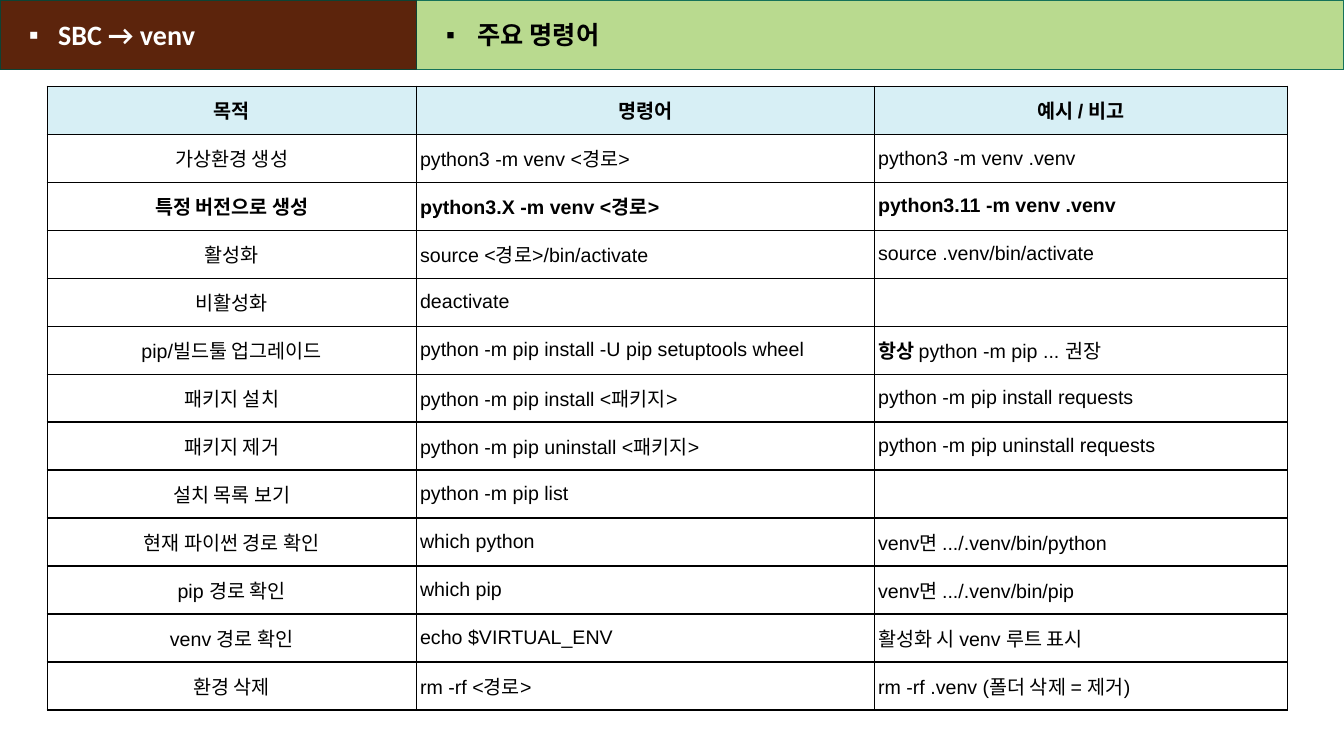
from dataclasses import dataclass

from lxml import etree
from pptx import Presentation
from pptx.dml.color import RGBColor
from pptx.enum.shapes import MSO_SHAPE
from pptx.enum.text import MSO_ANCHOR, MSO_AUTO_SIZE, PP_ALIGN
from pptx.oxml.ns import qn
from pptx.util import Pt

RECT = MSO_SHAPE.RECTANGLE
MIDDLE = MSO_ANCHOR.MIDDLE
NO_FIT = MSO_AUTO_SIZE.NONE
LEFT, CENTER = PP_ALIGN.LEFT, PP_ALIGN.CENTER

TOPIC = "SBC → venv"
TITLE = "주요 명령어"
ROWS = [
    ("목적", "명령어", "예시 / 비고"),
    ("가상환경 생성", "python3 -m venv <경로>", "python3 -m venv .venv"),
    ("특정 버전으로 생성", "python3.X -m venv <경로>", "python3.11 -m venv .venv"),
    ("활성화", "source <경로>/bin/activate", "source .venv/bin/activate"),
    ("비활성화", "deactivate", ""),
    ("pip/빌드툴 업그레이드", "python -m pip install -U pip setuptools wheel",
     [("항상 ", True), ("python -m pip ... 권장", False)]),
    ("패키지 설치", "python -m pip install <패키지>", "python -m pip install requests"),
    ("패키지 제거", "python -m pip uninstall <패키지>", "python -m pip uninstall requests"),
    ("설치 목록 보기", "python -m pip list", ""),
    ("현재 파이썬 경로 확인", "which python", "venv면 .../.venv/bin/python"),
    ("pip 경로 확인", "which pip", "venv면 .../.venv/bin/pip"),
    ("venv 경로 확인", "echo $VIRTUAL_ENV", "활성화 시 venv 루트 표시"),
    ("환경 삭제", "rm -rf <경로>", "rm -rf .venv (폴더 삭제 = 제거)"),
]
BOLD_ROWS = {0, 2}


@dataclass(frozen=True)
class Theme:
    ink: str = "000000"
    white: str = "FFFFFF"
    brown: str = "5C240C"
    green: str = "B9DA8F"
    blue: str = "D7EFF5"
    brown_edge: str = "0D4335"
    green_edge: str = "157259"
    head_font: str = "Calibri"
    body_font: str = "Arial"
    topic_size: int = 20
    title_size: int = 18
    body_size: int = 14


THEME = Theme()
WIDTH, HEIGHT = 960, 540
BAR_H, SPLIT = 49.7, 297.4
GRID_X, GRID_Y = 33.75, 61.6
COLS = (263.6, 327.2, 295.2)
ROW_H = 34.28
PAD_X, PAD_Y = 2.7, 1.4


def add_run(para, text, font, size, color, bold):
    run = para.add_run()
    run.text = text
    run.font.name = font
    run.font.size = Pt(size)
    run.font.bold = bold
    run.font.color.rgb = RGBColor.from_string(color)


def style_bar(bar, text, left, width, fill, edge, color, size, indent):
    bar.left, bar.top = Pt(left), Pt(0)
    bar.width, bar.height = Pt(width), Pt(BAR_H)
    bar.fill.solid()
    bar.fill.fore_color.rgb = RGBColor.from_string(fill)
    bar.line.color.rgb = RGBColor.from_string(edge)
    bar.line.width = Pt(1)
    frame = bar.text_frame
    frame.word_wrap = True
    frame.auto_size = NO_FIT
    frame.vertical_anchor = MIDDLE
    para = frame.paragraphs[0]
    para.alignment = LEFT
    margin, hang = indent
    props = para._p.get_or_add_pPr()
    props.set("marL", str(Pt(margin)))
    props.set("indent", str(Pt(-hang)))
    etree.SubElement(props, qn("a:buFont"), typeface=THEME.body_font)
    etree.SubElement(props, qn("a:buChar"), char="▪")
    add_run(para, text, THEME.head_font, size, color, True)


def add_edges(cell):
    props = cell._tc.get_or_add_tcPr()
    for spot, side in enumerate(("lnL", "lnR", "lnT", "lnB")):
        line = etree.Element(qn("a:" + side), w=str(Pt(1)))
        paint = etree.SubElement(line, qn("a:solidFill"))
        etree.SubElement(paint, qn("a:srgbClr"), val=THEME.ink)
        props.insert(spot, line)


def fill_cell(cell, content, row, col):
    cell.margin_left = cell.margin_right = Pt(PAD_X)
    cell.margin_top = cell.margin_bottom = Pt(PAD_Y)
    cell.vertical_anchor = MIDDLE
    if row == 0:
        cell.fill.solid()
        cell.fill.fore_color.rgb = RGBColor.from_string(THEME.blue)
    else:
        cell.fill.background()
    add_edges(cell)
    para = cell.text_frame.paragraphs[0]
    para.alignment = CENTER if row == 0 or col == 0 else LEFT
    para.font.size = Pt(THEME.body_size)
    runs = [(content, row in BOLD_ROWS)] if isinstance(content, str) else content
    for text, bold in runs:
        if text:
            add_run(para, text, THEME.body_font, THEME.body_size, THEME.ink, bold)


def add_grid(slide):
    frame = slide.shapes.add_table(
        len(ROWS), len(COLS), Pt(GRID_X), Pt(GRID_Y),
        Pt(sum(COLS)), Pt(ROW_H * len(ROWS)))
    grid = frame.table
    grid.horz_banding = False
    for col, width in enumerate(COLS):
        grid.columns[col].width = Pt(width)
    for row, cells in enumerate(ROWS):
        grid.rows[row].height = Pt(ROW_H)
        for col, content in enumerate(cells):
            fill_cell(grid.cell(row, col), content, row, col)


def main():
    deck = Presentation()
    deck.slide_width, deck.slide_height = Pt(WIDTH), Pt(HEIGHT)
    slide = deck.slides.add_slide(deck.slide_layouts[5])
    style_bar(slide.shapes.title, TITLE, SPLIT, WIDTH - SPLIT, THEME.green,
              THEME.green_edge, THEME.ink, THEME.title_size, (36.5, 22.5))
    topic = slide.shapes.add_shape(RECT, Pt(0), Pt(0), Pt(SPLIT), Pt(BAR_H))
    topic.shadow.inherit = False
    style_bar(topic, TOPIC, 0, SPLIT, THEME.brown,
              THEME.brown_edge, THEME.white, THEME.topic_size, (34.5, 21))
    add_grid(slide)
    deck.save("out.pptx")


if __name__ == "__main__":
    main()
